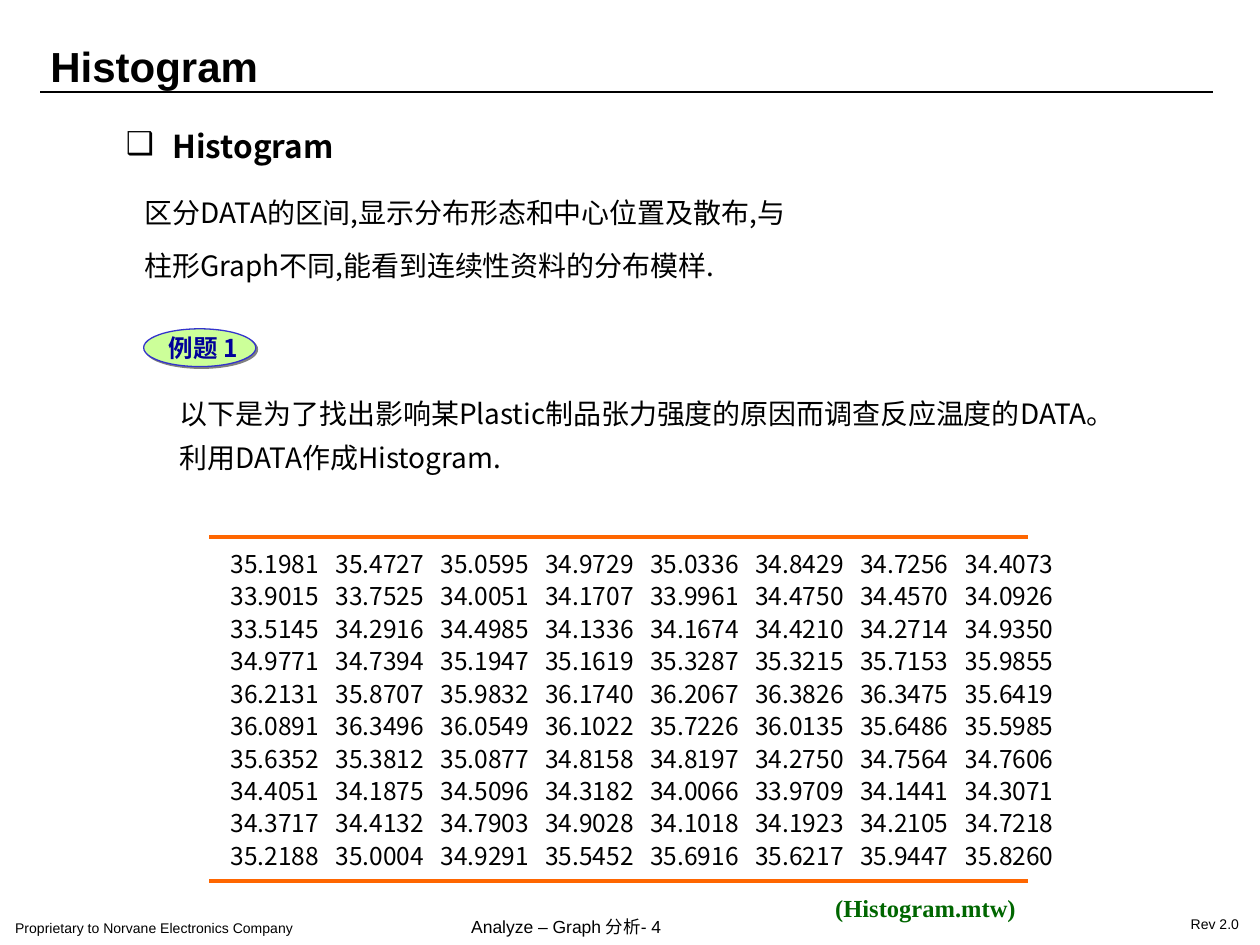
"""Build the Histogram slide with its example data grid."""
from dataclasses import dataclass

from lxml.etree import SubElement
from pptx import Presentation
from pptx.dml.color import RGBColor
from pptx.enum.shapes import MSO_CONNECTOR as Connector, MSO_SHAPE as Shape
from pptx.enum.text import MSO_ANCHOR as Anchor, MSO_AUTO_SIZE as AutoSize, PP_ALIGN as Align
from pptx.oxml.ns import qn
from pptx.util import Inches, Pt


@dataclass(frozen=True)
class Theme:
    sans: str = "Arial"
    cjk: str = "Noto Sans CJK SC"
    serif: str = "Times New Roman"
    ink: str = "000000"
    badge_fill: str = "CCFF99"
    badge_line: str = "3333CC"
    badge_text: str = "000099"
    badge_shadow: str = "808080"
    frame: str = "FF6600"
    file_name: str = "006600"
    title: int = 24
    heading: int = 18
    body: int = 16
    data: int = 14
    footer: int = 10
    small: int = 8
    line_height: float = 1.2


THEME = Theme()

TITLE = "Histogram"
DEFINITION = ["区分DATA的区间,显示分布形态和中心位置及散布,与",
              "柱形Graph不同,能看到连续性资料的分布模样."]
EXAMPLE = ["以下是为了找出影响某Plastic制品张力强度的原因而调查反应温度的DATA。",
           "利用DATA作成Histogram."]
READINGS = [
    "35.1981 35.4727 35.0595 34.9729 35.0336 34.8429 34.7256 34.4073",
    "33.9015 33.7525 34.0051 34.1707 33.9961 34.4750 34.4570 34.0926",
    "33.5145 34.2916 34.4985 34.1336 34.1674 34.4210 34.2714 34.9350",
    "34.9771 34.7394 35.1947 35.1619 35.3287 35.3215 35.7153 35.9855",
    "36.2131 35.8707 35.9832 36.1740 36.2067 36.3826 36.3475 35.6419",
    "36.0891 36.3496 36.0549 36.1022 35.7226 36.0135 35.6486 35.5985",
    "35.6352 35.3812 35.0877 34.8158 34.8197 34.2750 34.7564 34.7606",
    "34.4051 34.1875 34.5096 34.3182 34.0066 33.9709 34.1441 34.3071",
    "34.3717 34.4132 34.7903 34.9028 34.1018 34.1923 34.2105 34.7218",
    "35.2188 35.0004 34.9291 35.5452 35.6916 35.6217 35.9447 35.8260",
]
FOOTERS = [
    ("Proprietary to Norvane Electronics Company", (0, 7.24, 3.21, 0.25), THEME.small),
    ("Analyze – Graph 分析- 4", (3.62, 7.21, 2.37, 0.29), THEME.footer),
    ("Rev 2.0", (9.33, 7.21, 0.67, 0.25), THEME.small),
]
RULES = [(0.32, 9.63, 0.73, THEME.ink, 1.5),
         (1.66, 8.16, 4.26, THEME.frame, 2.25),
         (1.66, 8.16, 6.99, THEME.frame, 2.25)]
GRID_LEFT, GRID_TOP, COLUMN_WIDTH = 1.83, 4.35, 0.833


def write(frame, lines, size, font=THEME.cjk, color=THEME.ink, bold=False,
          spacing=None, inset=(0.1, 0.05)):
    """Fill a text frame or table cell; spacing is in multiples of the line height."""
    frame.margin_left = frame.margin_right = Inches(inset[0])
    frame.margin_top = frame.margin_bottom = Inches(inset[1])
    frame.word_wrap = True
    frame.vertical_anchor = Anchor.TOP
    text_frame = getattr(frame, "text_frame", frame)
    text_frame.text = "\n".join(lines)
    for paragraph in text_frame.paragraphs:
        paragraph.alignment = Align.LEFT
        paragraph.space_before = Pt(0)
        if spacing:
            paragraph.line_spacing = Pt(round(spacing * size * THEME.line_height, 1))
        for run in paragraph.runs:
            run.font.size = Pt(size)
            run.font.bold = bold
            run.font.color.rgb = RGBColor.from_string(color)
            run.font.name = font
            SubElement(run.font._element, qn("a:ea"), typeface=THEME.cjk)


def add_text(slide, lines, place, size, **style):
    box = slide.shapes.add_textbox(*map(Inches, place))
    write(box.text_frame, lines, size, **style)


def add_title(slide):
    title = slide.shapes.title
    title.left, title.top, title.width, title.height = map(Inches, (0.3, 0.27, 2.24, 0.61))
    title.text_frame.auto_size = AutoSize.NONE
    write(title.text_frame, [TITLE], THEME.title, font=THEME.sans, bold=True)


def add_rule(slide, left, right, top, color, width):
    rule = slide.shapes.add_connector(
        Connector.STRAIGHT, Inches(left), Inches(top), Inches(right), Inches(top))
    rule.line.color.rgb = RGBColor.from_string(color)
    rule.line.width = Pt(width)
    SubElement(rule._element.spPr, qn("a:effectLst"))


def add_badge(slide):
    badge = slide.shapes.add_shape(Shape.OVAL, *map(Inches, (1.14, 2.61, 0.89, 0.3)))
    badge.fill.solid()
    badge.fill.fore_color.rgb = RGBColor.from_string(THEME.badge_fill)
    badge.line.color.rgb = RGBColor.from_string(THEME.badge_line)
    badge.line.width = Pt(0.75)
    badge.shadow.inherit = False
    effects = badge._element.spPr.find(qn("a:effectLst"))
    shadow = SubElement(effects, qn("a:outerShdw"), dist=str(Pt(1.4)),
                        dir=str(45 * 60000), algn="ctr", rotWithShape="0")
    SubElement(shadow, qn("a:srgbClr"), val=THEME.badge_shadow)
    add_text(slide, ["例题 1"], (1.24, 2.59, 1.33, 0.34), THEME.data,
             color=THEME.badge_text, bold=True, spacing=1)


def add_readings(slide):
    rows = [line.split() for line in READINGS]
    row_height = Pt(round(1.1 * THEME.data * THEME.line_height, 1))
    table = slide.shapes.add_table(
        len(rows), len(rows[0]), Inches(GRID_LEFT), Inches(GRID_TOP),
        Inches(COLUMN_WIDTH * len(rows[0])), row_height * len(rows)).table
    table.first_row = table.horz_banding = False
    for row, values in zip(table.rows, rows):
        row.height = row_height
        for cell, value in zip(row.cells, values):
            cell.fill.background()
            write(cell, [value], THEME.data, spacing=1.1, inset=(0, 0))


def main():
    presentation = Presentation()
    presentation.slide_width, presentation.slide_height = Inches(10), Inches(7.5)
    slide = presentation.slides.add_slide(presentation.slide_layouts[5])
    for text, place, size in FOOTERS:
        add_text(slide, [text], place, size, font=THEME.sans, inset=(0.12, 0.06))
    for rule in RULES:
        add_rule(slide, *rule)
    add_title(slide)
    add_text(slide, ["❑"], (0.9, 0.93, 0.5, 0.4), THEME.heading, font=THEME.sans)
    add_text(slide, [TITLE], (1.27, 0.75, 1.6, 0.6), THEME.heading, bold=True, spacing=1.7)
    add_text(slide, DEFINITION, (1.05, 1.34, 5.8, 0.96), THEME.body, spacing=1.6)
    add_badge(slide)
    add_text(slide, EXAMPLE, (1.33, 3.02, 8.01, 1.14), THEME.body, spacing=1.3)
    add_readings(slide)
    add_text(slide, ["(Histogram.mtw)"], (6.53, 7.04, 1.75, 0.34), THEME.data,
             font=THEME.serif, color=THEME.file_name, bold=True)
    presentation.save("out.pptx")


if __name__ == "__main__":
    main()
